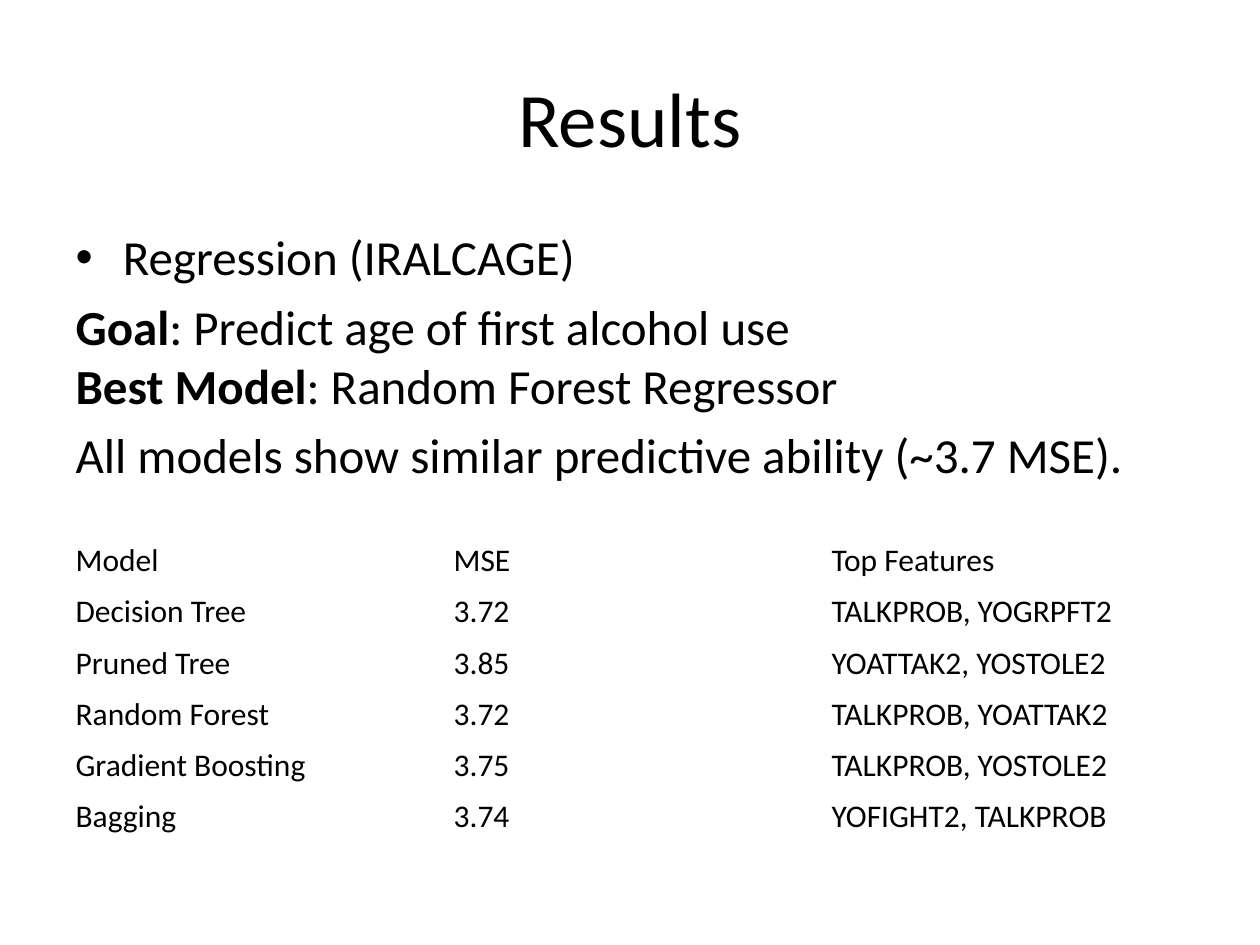
from dataclasses import dataclass

from lxml.etree import SubElement
from pptx import Presentation
from pptx.dml.color import RGBColor
from pptx.enum.text import MSO_ANCHOR, PP_ALIGN
from pptx.oxml.ns import qn
from pptx.util import Pt

COLORS = {"text": "000000", "background": "FFFFFF"}
FONT = "Calibri"
LEFT, WIDTH = 36, 648


@dataclass
class Line:
    """One line of text, with an optional bold label in front."""
    text: str
    label: str = ""


@dataclass
class ModelResult:
    model: str
    mse: str
    features: str


BULLET = [Line("Regression (IRALCAGE)")]
SUMMARY = [
    Line(": Predict age of first alcohol use", "Goal"),
    Line(": Random Forest Regressor", "Best Model"),
]
CONCLUSION = [Line("All models show similar predictive ability (~3.7 MSE).")]

RESULTS = [
    ModelResult("Model", "MSE", "Top Features"),
    ModelResult("Decision Tree", "3.72", "TALKPROB, YOGRPFT2"),
    ModelResult("Pruned Tree", "3.85", "YOATTAK2, YOSTOLE2"),
    ModelResult("Random Forest", "3.72", "TALKPROB, YOATTAK2"),
    ModelResult("Gradient Boosting", "3.75", "TALKPROB, YOSTOLE2"),
    ModelResult("Bagging", "3.74", "YOFIGHT2, TALKPROB"),
]


def place(shape, top: float, height: float) -> None:
    shape.left, shape.top = Pt(LEFT), Pt(top)
    shape.width, shape.height = Pt(WIDTH), Pt(height)


def format_run(run, size: float, bold: bool = False) -> None:
    run.font.name = FONT
    run.font.size = Pt(size)
    run.font.bold = bold
    run.font.color.rgb = RGBColor.from_string(COLORS["text"])


def write_lines(paragraph, lines: list[Line], size: float) -> None:
    for index, line in enumerate(lines):
        if index:
            paragraph.add_line_break()
        for text, bold in ((line.label, True), (line.text, False)):
            if text:
                run = paragraph.add_run()
                run.text = text
                format_run(run, size, bold)


def remove_bullet(paragraph) -> None:
    properties = paragraph._p.get_or_add_pPr()
    properties.set("marL", "0")
    properties.set("indent", "0")
    SubElement(properties, qn("a:buNone"))


def add_title(slide) -> None:
    title = slide.shapes.title
    place(title, 21.6, 90)
    title.text_frame.text = "Results"
    title.text_frame.vertical_anchor = MSO_ANCHOR.MIDDLE
    paragraph = title.text_frame.paragraphs[0]
    paragraph.alignment = PP_ALIGN.CENTER
    format_run(paragraph.runs[0], 44)


def add_body(slide) -> None:
    body = slide.placeholders[1]
    place(body, 126, 356.4)
    frame = body.text_frame
    write_lines(frame.paragraphs[0], BULLET, 28)
    for lines in (SUMMARY, CONCLUSION):
        paragraph = frame.add_paragraph()
        remove_bullet(paragraph)
        write_lines(paragraph, lines, 28)


def add_results_table(slide, results: list[ModelResult]) -> None:
    table = slide.shapes.add_table(
        len(results), 3, Pt(LEFT), Pt(306), Pt(WIDTH), Pt(172.8)
    ).table
    table.first_row = False
    table.horz_banding = False
    for row, result in zip(table.rows, results):
        values = (result.model, result.mse, result.features)
        for cell, value in zip(row.cells, values):
            cell.fill.background()
            cell.vertical_anchor = MSO_ANCHOR.MIDDLE
            cell.text_frame.text = value
            format_run(cell.text_frame.paragraphs[0].runs[0], 18)


def main() -> None:
    presentation = Presentation()
    presentation.slide_width, presentation.slide_height = Pt(720), Pt(540)
    slide = presentation.slides.add_slide(presentation.slide_layouts[1])
    background = slide.background.fill
    background.solid()
    background.fore_color.rgb = RGBColor.from_string(COLORS["background"])

    # Heading and key findings
    add_title(slide)
    add_body(slide)

    # Model comparison
    add_results_table(slide, RESULTS)

    presentation.save("out.pptx")


if __name__ == "__main__":
    main()
